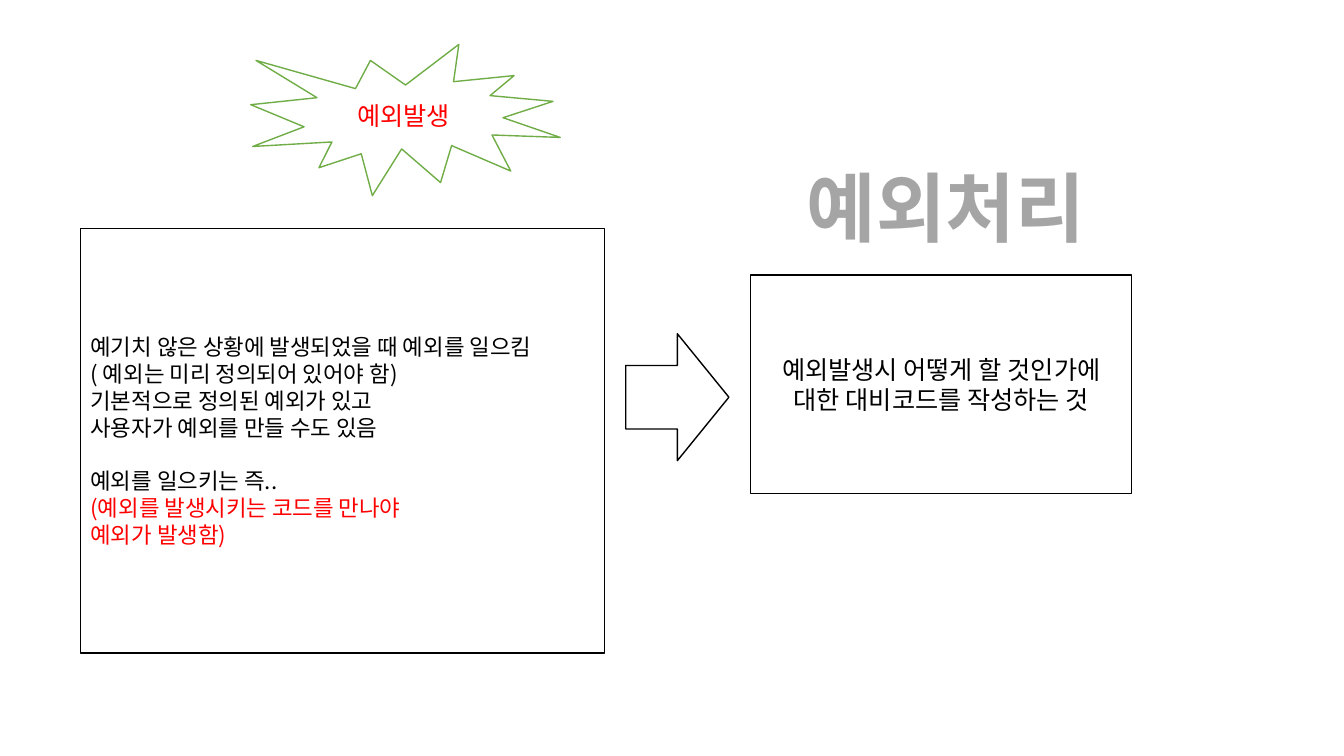
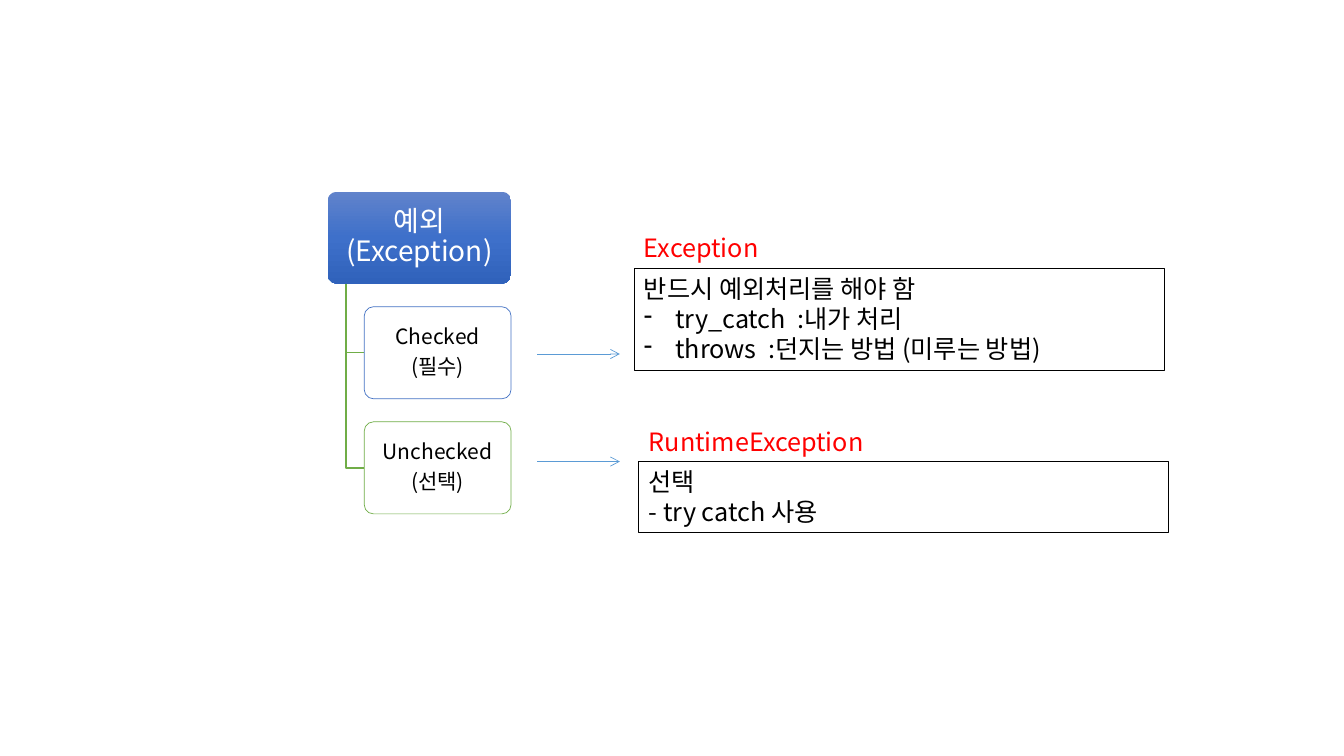
from dataclasses import dataclass
from typing import NamedTuple

from lxml.etree import SubElement
from pptx import Presentation
from pptx.dml.color import RGBColor
from pptx.enum.shapes import MSO_CONNECTOR as CONN, MSO_SHAPE as SHAPE
from pptx.enum.text import MSO_ANCHOR as ANCHOR, MSO_AUTO_SIZE as AUTO, PP_ALIGN as ALIGN
from pptx.oxml import parse_xml
from pptx.oxml.ns import nsdecls, qn
from pptx.util import Cm, Pt

FONT = "Noto Sans CJK KR"
COLORS = {
    "black": "000000", "white": "FFFFFF", "red": "FF0000", "gray": "A5A5A5",
    "green": "70AD47", "blue": "4472C4", "sky": "5B9BD5",
    "grad_top": "6183CB", "grad_mid": "3E70CA", "grad_end": "3062BB",
}


class Para(NamedTuple):
    text: str
    color: str = "black"
    before: float = 0
    bullet: bool = False


class Area(NamedTuple):
    """Left, top, width and height in centimetres."""
    x: float
    y: float
    w: float
    h: float

    def lengths(self) -> list:
        return [Cm(v) for v in self]


@dataclass
class TextStyle:
    size: float = 18
    align: ALIGN = ALIGN.LEFT
    anchor: ANCHOR = ANCHOR.MIDDLE
    bold: bool = False
    wrap: bool = True
    spacing: float = 1
    after: float = 0
    margins: tuple | None = None  # horizontal, vertical


@dataclass
class Box:
    shape: SHAPE
    area: Area
    line: str | None
    paras: list
    style: TextStyle
    fill: str | None = "white"
    width: float = 1


@dataclass
class Branch:
    paras: list
    line: str


@dataclass
class Note:
    caption: str
    area: Area
    paras: list
    arrow_y: float


CENTER = TextStyle(align=ALIGN.CENTER)
TOP = TextStyle(anchor=ANCHOR.TOP)
HEADING = TextStyle(54, ALIGN.CENTER, ANCHOR.TOP, bold=True, wrap=False)
ROOT_STYLE = TextStyle(20, ALIGN.CENTER, spacing=0.9, after=7, margins=(0.1, 0.07))
BRANCH_STYLE = TextStyle(15, ALIGN.CENTER, spacing=0.9, after=5.25, margins=(0.08, 0.05))


def rgb(name: str) -> RGBColor:
    return RGBColor.from_string(COLORS[name])


def write(tf, paras: list, style: TextStyle) -> None:
    tf.word_wrap = style.wrap
    tf.vertical_anchor = style.anchor
    if style.margins:
        across, down = (Cm(v) for v in style.margins)
        tf.margin_left = tf.margin_right = across
        tf.margin_top = tf.margin_bottom = down
    for i, para in enumerate(paras):
        p = tf.add_paragraph() if i else tf.paragraphs[0]
        p.text = para.text
        p.alignment = style.align
        p.line_spacing = style.spacing
        p.space_before, p.space_after = Pt(para.before), Pt(style.after)
        font = p.font
        font.name, font.size, font.bold = FONT, Pt(style.size), style.bold
        font.color.rgb = rgb(para.color)
        pPr = p._p.get_or_add_pPr()
        defaults = pPr.find(qn("a:defRPr"))
        SubElement(defaults, qn("a:ea")).set("typeface", FONT)
        if para.bullet:
            indent = Cm(0.79)
            pPr.set("marL", str(indent))
            pPr.set("indent", str(-indent))
            defaults.addprevious(parse_xml(f'<a:buChar {nsdecls("a")} char="-"/>'))


def add_box(s, box: Box):
    sp = s.shapes.add_shape(box.shape, *box.area.lengths())
    sp.shadow.inherit = False
    if box.fill:
        sp.fill.solid()
        sp.fill.fore_color.rgb = rgb(box.fill)
    else:
        sp.fill.background()
    if box.line:
        sp.line.color.rgb = rgb(box.line)
        sp.line.width = Pt(box.width)
    else:
        sp.line.fill.background()
    if box.shape == SHAPE.ROUNDED_RECTANGLE:
        sp.adjustments[0] = 0.1
    if box.paras:
        write(sp.text_frame, box.paras, box.style)
    return sp


def add_label(s, area: Area, para: Para, style: TextStyle) -> None:
    tf = s.shapes.add_textbox(*area.lengths()).text_frame
    write(tf, [para], style)
    tf.auto_size = AUTO.SHAPE_TO_FIT_TEXT


def add_arrow(s, x1: float, x2: float, y: float) -> None:
    arrow = s.shapes.add_connector(CONN.STRAIGHT, Cm(x1), Cm(y), Cm(x2), Cm(y))
    arrow.line.color.rgb = rgb("sky")
    arrow.line.width = Pt(0.5)
    SubElement(arrow.line._get_or_add_ln(), qn("a:tailEnd")).set("type", "arrow")
    SubElement(arrow._element.spPr, qn("a:effectLst"))


def add_elbow(s, x: float, top: float, right: float, bottom: float) -> None:
    path_builder = s.shapes.build_freeform(Cm(x), Cm(top))
    path_builder.add_line_segments([(Cm(x), Cm(bottom)), (Cm(right), Cm(bottom))], close=False)
    sp = path_builder.convert_to_shape()
    sp.shadow.inherit = False
    sp.fill.background()
    sp.line.color.rgb = rgb("green")
    sp.line.width = Pt(1)


def set_gradient(sp) -> None:
    stops = "".join(
        f'<a:gs pos="{pos}"><a:srgbClr val="{COLORS[name]}"/></a:gs>'
        for pos, name in ((0, "grad_top"), (50000, "grad_mid"), (100000, "grad_end"))
    )
    solid = sp._element.spPr.find(qn("a:solidFill"))
    solid.getparent().replace(solid, parse_xml(
        f'<a:gradFill {nsdecls("a")} rotWithShape="1"><a:gsLst>{stops}</a:gsLst>'
        '<a:lin ang="5400000" scaled="0"/></a:gradFill>'))


def build_handling(s) -> None:
    # Raising on the left, handling on the right
    causes = [
        Para("예기치 않은 상황에 발생되었을 때 예외를 일으킴"),
        Para("( 예외는 미리 정의되어 있어야 함)"),
        Para("기본적으로 정의된 예외가 있고"),
        Para("사용자가 예외를 만들 수도 있음"),
        Para("예외를 일으키는 즉..", before=19),
        Para("(예외를 발생시키는 코드를 만나야", "red"),
        Para("예외가 발생함)", "red"),
    ]
    handling = [Para("예외발생시 어떻게 할 것인가에 대한 대비코드를 작성하는 것")]
    for box in (
        Box(SHAPE.RECTANGLE, Area(2.03, 5.76, 13.2, 10.7), "black", causes, TextStyle(16)),
        Box(SHAPE.RECTANGLE, Area(18.92, 6.93, 9.6, 5.5), "black", handling, CENTER),
        Box(SHAPE.EXPLOSION1, Area(6.32, 1.12, 7.8, 3.81), "green",
            [Para("예외발생", "red")], CENTER),
        Box(SHAPE.RIGHT_ARROW, Area(15.77, 8.41, 2.6, 3.2), "black", [], CENTER),
    ):
        add_box(s, box)
    add_label(s, Area(19.74, 3.94, 8.2, 2.57), Para("예외처리", "gray"), HEADING)


def build_kinds(s) -> None:
    # Tree of exception kinds
    root = Area(8.26, 4.83, 4.62, 2.32)
    step, trunk_x, branch_x = 2.9, root.x + 0.46, root.x + 0.92
    sp = add_box(s, Box(SHAPE.ROUNDED_RECTANGLE, root, None,
                        [Para("예외\v(Exception)", "white")], ROOT_STYLE))
    set_gradient(sp)
    branches = [
        Branch([Para("Checked"), Para("(필수)")], "blue"),
        Branch([Para("Unchecked"), Para("(선택)")], "green"),
    ]
    for i, branch in enumerate(branches, start=1):
        area = Area(branch_x, root.y + i * step, 3.7, root.h)
        add_elbow(s, trunk_x, root.y + root.h, branch_x, area.y + area.h / 2)
        add_box(s, Box(SHAPE.ROUNDED_RECTANGLE, area, branch.line, branch.paras,
                       BRANCH_STYLE, width=0.5))

    # Explanations
    notes = [
        Note("Exception", Area(15.98, 6.76, 13.36, 2.57), [
            Para("반드시 예외처리를 해야 함"),
            Para("try_catch  :내가 처리", bullet=True),
            Para("throws  :던지는 방법 (미루는 방법)", bullet=True),
        ], 8.92),
        Note("RuntimeException", Area(16.1, 11.63, 13.36, 1.8), [
            Para("선택"), Para("- try catch 사용"),
        ], 11.63),
    ]
    caption_h = 1.02
    for note in notes:
        x, y, _, _ = note.area
        add_arrow(s, 13.54, 15.62, note.arrow_y)
        add_box(s, Box(SHAPE.RECTANGLE, note.area, "black", note.paras, TOP,
                       fill=None, width=0.75))
        add_label(s, Area(x, y - caption_h, 8.76, caption_h), Para(note.caption, "red"), TOP)


def main() -> None:
    prs = Presentation()
    prs.slide_width, prs.slide_height = Cm(33.87), Cm(19.05)
    for build in (build_handling, build_kinds):
        build(prs.slides.add_slide(prs.slide_layouts[6]))
    prs.save("out.pptx")


if __name__ == "__main__":
    main()
